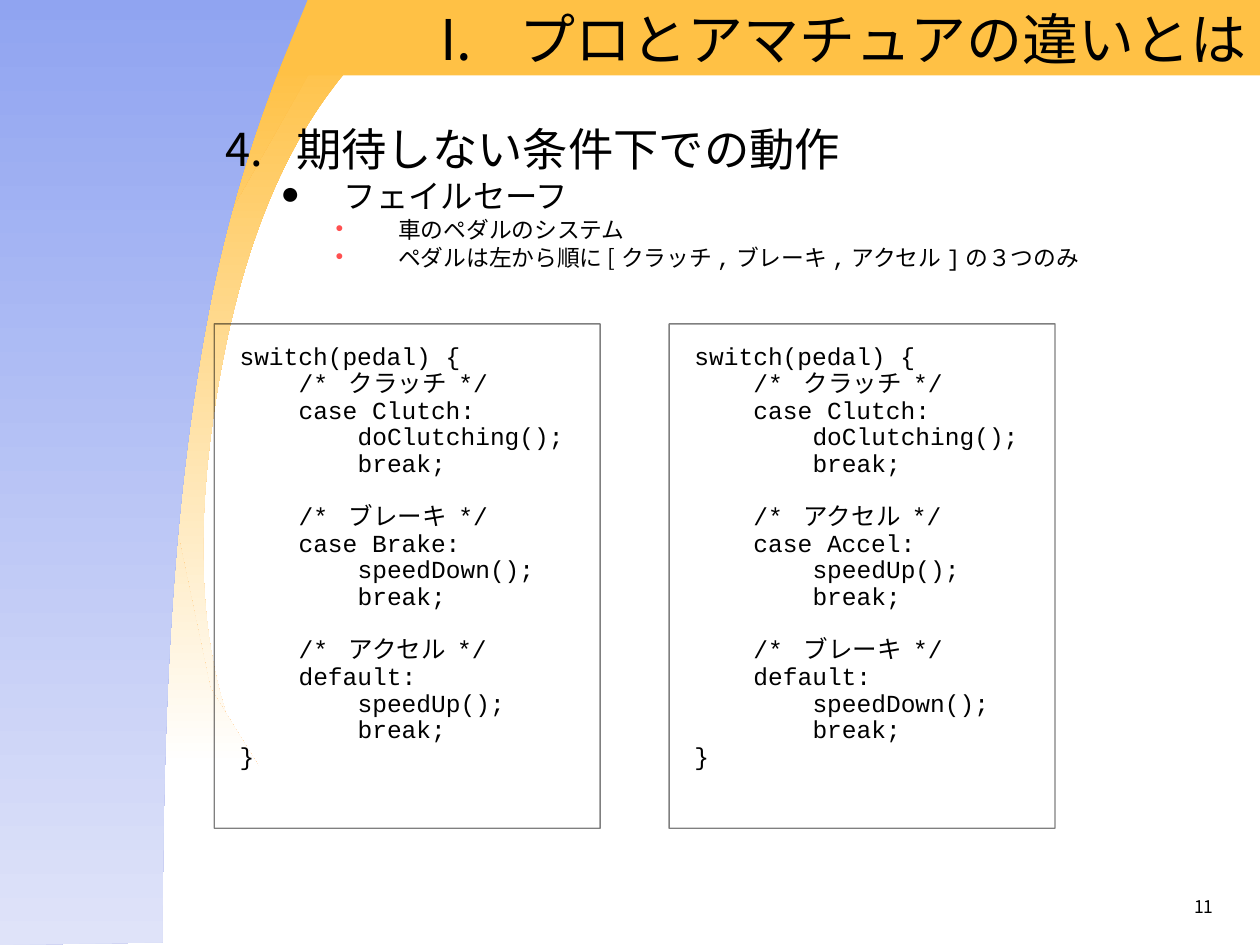
from lxml.etree import SubElement
from pptx import Presentation
from pptx.dml.color import RGBColor
from pptx.enum.shapes import MSO_SHAPE
from pptx.enum.text import MSO_ANCHOR, PP_ALIGN
from pptx.oxml.ns import qn
from pptx.util import Cm, Pt

HUES = {"gold": "FFC145", "white": "FFFFFF", "blue": "90A4F1",
        "pale": "DFE3F9", "black": "000000", "red": "FF5050"}
SANS, MONO = "Noto Sans CJK JP", "Courier New"
STEP = 1.19  # width of four code letters, cm


def hue(name):
    return RGBColor.from_string(HUES[name])


class Deck:
    def __init__(self):
        self.file = Presentation()
        self.file.slide_width, self.file.slide_height = Cm(25.4), Cm(19.05)
        self.slide = self.file.slides.add_slide(self.file.slide_layouts[6])
        self.shapes = self.slide.shapes

    def blend(self, points, top, base, curves=0):
        """Outline filled from top to base; it opens with cubic curves."""
        spots = [(Cm(x), Cm(y)) for x, y in points]
        pen = self.shapes.build_freeform(*spots[0])
        pen.add_line_segments(spots[1:], close=True)
        shape = pen.convert_to_shape()
        self.bend(shape, curves)
        shape.shadow.inherit = False
        shape.line.fill.background()
        shape.fill.gradient()
        shape.fill.gradient_angle = 270
        for stop, name, place in zip(shape.fill.gradient_stops, (top, base), (0, 1)):
            stop.color.rgb = hue(name)
            stop.position = place

    def bend(self, shape, curves):
        """Turn each three leading line points into one cubic curve."""
        lines = list(shape._element.iter(qn("a:lnTo")))
        for i in range(0, curves * 3, 3):
            first, *rest = lines[i:i + 3]
            first.tag = qn("a:cubicBezTo")
            for item in rest:
                first.append(item[0])
                item.getparent().remove(item)

    def box(self, left, top, width, height, fill=None):
        shape = self.shapes.add_shape(
            MSO_SHAPE.RECTANGLE, Cm(left), Cm(top), Cm(width), Cm(height))
        shape.shadow.inherit = False
        if fill:
            shape.fill.solid()
            shape.fill.fore_color.rgb = hue(fill)
            shape.line.fill.background()
        else:
            shape.fill.background()
            shape.line.color.rgb = hue("black")
            shape.line.width = Pt(0.75)
            tint = shape.line._ln.find(".//" + qn("a:srgbClr"))
            SubElement(tint, qn("a:alpha"), val="50000")
        return shape

    def text(self, left, top, width, height, anchor=MSO_ANCHOR.TOP):
        frame = self.shapes.add_textbox(
            Cm(left), Cm(top), Cm(width), Cm(height)).text_frame
        frame.word_wrap = True
        frame.vertical_anchor = anchor
        return frame

    def line(self, frame, runs, size, align=PP_ALIGN.LEFT, left=0, hang=0,
             space=None, gap=0):
        """Add one paragraph from (text, font) runs."""
        para = frame.paragraphs[0]
        if para.runs:
            para = frame.add_paragraph()
        para.alignment = align
        para.space_before = Pt(gap)
        if space:
            para.line_spacing = space
        props = para._p.get_or_add_pPr()
        props.set("marL", str(Cm(left)))
        props.set("indent", str(-Cm(hang)))
        for words, face in runs:
            run = para.add_run()
            run.text = words
            run.font.size = Pt(size)
            run.font.name = face
            run.font.color.rgb = hue("black")
            SubElement(run._r.get_or_add_rPr(), qn("a:ea"), typeface=SANS)
        return para

    def mark(self, para, kind, face=SANS, name="black", scale=100, **keys):
        """Give a paragraph its bullet or number."""
        props = para._p.get_or_add_pPr()
        tint = SubElement(props, qn("a:buClr"))
        SubElement(tint, qn("a:srgbClr"), val=HUES[name])
        SubElement(props, qn("a:buSzPct"), val=str(scale * 1000))
        SubElement(props, qn("a:buFont"), typeface=face)
        SubElement(props, qn("a:" + kind), **keys)

    def code(self, left, cases):
        """Framed switch block; each case is (note, label, call)."""
        frame = self.box(left, 6.53, 7.78, 10.17).text_frame
        frame.word_wrap = True
        frame.vertical_anchor = MSO_ANCHOR.TOP
        frame.margin_left = frame.margin_right = Cm(0.51)
        frame.margin_top = frame.margin_bottom = Cm(0.51)
        rows = [("switch(pedal) {", 0, 3.5)]
        for i, (note, label, call) in enumerate(cases):
            rows += [(f"/* {note} */", 1, 18.6 if i else 3.5), (f"{label}:", 1, 3.5),
                     (f"{call}();", 2, 3.5), ("break;", 2, 3.5)]
        rows.append(("}", 0, 3.5))
        for words, depth, gap in rows:
            self.line(frame, [(words, MONO)], 14, left=depth * STEP,
                      space=0.7, gap=gap)


def main():
    deck = Deck()

    # Backdrop: gold crescent and wedge, title band, blue side
    deck.blend([(7.26, 1.12),
                (6.2, 2.26), (4.98, 4.19), (4.37, 7.95),
                (3.76, 11.71), (4.27, 13.92), (4.93, 15.34),
                (3.02, 15.01), (2.01, 11.56), (2.64, 7.67),
                (3.28, 3.76), (5.36, 0.81), (7.26, 1.12)], "gold", "white", 4)
    deck.blend([(5.21, 15.44), (0, 15.44), (0, 1.27), (6.35, 1.27), (3.84, 5.69),
                (3.45, 10.11), (4.24, 13.87)], "gold", "white")
    deck.box(0, -0.03, 25.4, 1.55, "gold")
    deck.blend([(6.2, 0),
                (5.87, 0.84), (4.93, 2.77), (4.27, 5.97),
                (3.63, 9.17), (3.28, 12.95), (3.28, 19),
                (0, 19.05), (0, -0.08)], "blue", "pale", 2)

    # Title
    head = deck.text(5.89, 0, 19.51, 1.52, MSO_ANCHOR.MIDDLE)
    para = deck.line(head, [("プロとアマチュアの違いとは", SANS)], 32,
                     PP_ALIGN.RIGHT, 1.6, 1.6)
    deck.mark(para, "buAutoNum", type="romanUcPeriod")

    # Outline
    body = deck.text(4.29, 2.53, 19.41, 3.61)
    para = deck.line(body, [("期待しない条件下での動作", SANS)], 25.9,
                     left=1.43, hang=1.43, space=0.8, gap=7)
    deck.mark(para, "buAutoNum", type="arabicPeriod", startAt="4")
    para = deck.line(body, [("フェイルセーフ", SANS)], 18.5,
                     left=2.39, hang=1.27, space=0.8, gap=5)
    deck.mark(para, "buChar", MONO, char="●")
    for runs in ([("車のペダルのシステム", SANS)],
                 [("ペダルは左から順に[", SANS),
                  ("クラッチ,ブレーキ,アクセル]の３つのみ", MONO)]):
        para = deck.line(body, runs, 13, left=3.49, hang=1.27, space=0.8, gap=3.5)
        deck.mark(para, "buChar", MONO, "red", 60, char="●")

    # Page number
    foot = deck.text(18.77, 17.93, 5.94, 0.74)
    deck.line(foot, [("11", SANS)], 10, PP_ALIGN.RIGHT)

    # Two code blocks
    clutch = ("クラッチ", "case Clutch", "doClutching")
    deck.code(4.32, [clutch, ("ブレーキ", "case Brake", "speedDown"),
                     ("アクセル", "default", "speedUp")])
    deck.code(13.49, [clutch, ("アクセル", "case Accel", "speedUp"),
                      ("ブレーキ", "default", "speedDown")])

    deck.file.save("out.pptx")


if __name__ == "__main__":
    main()
